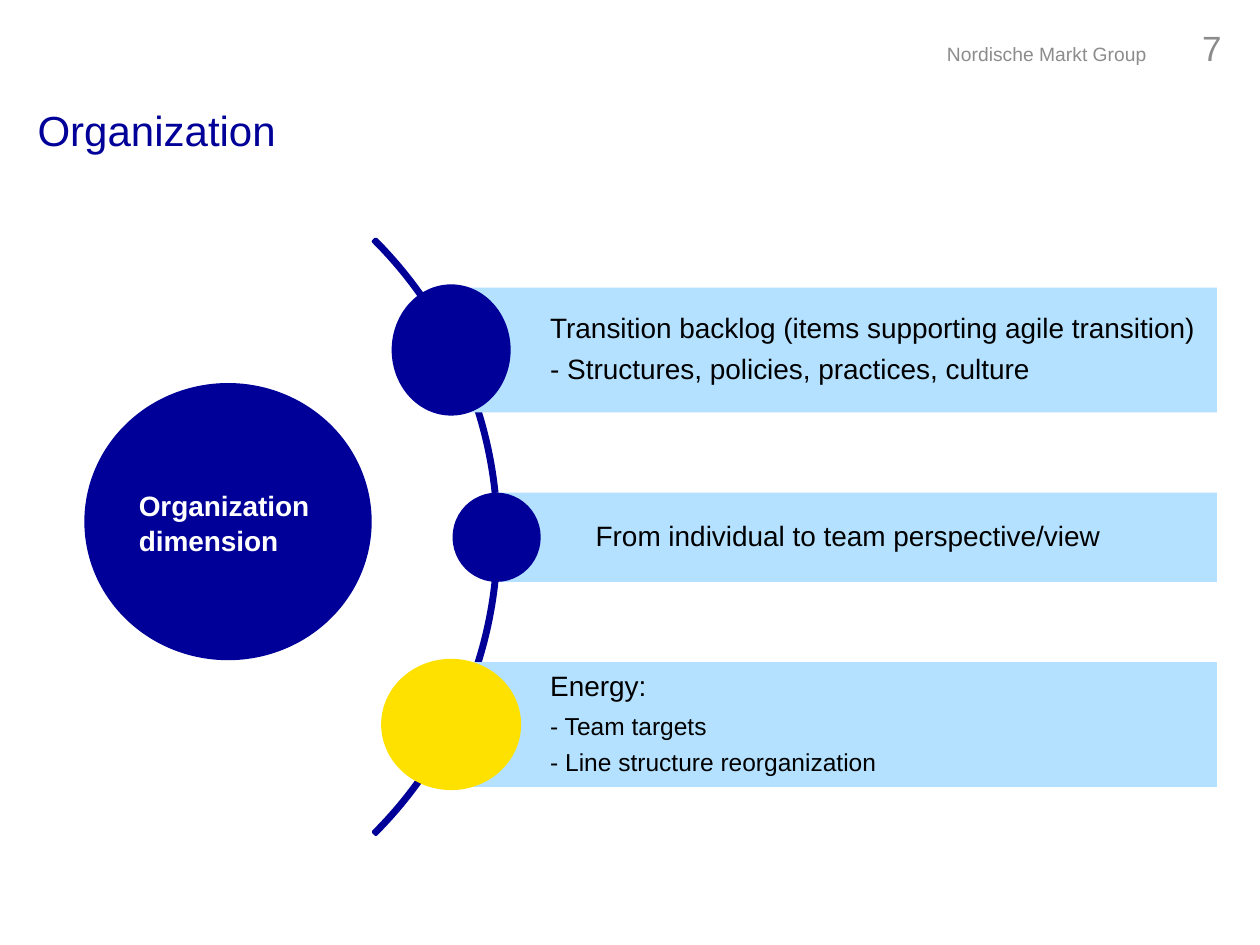
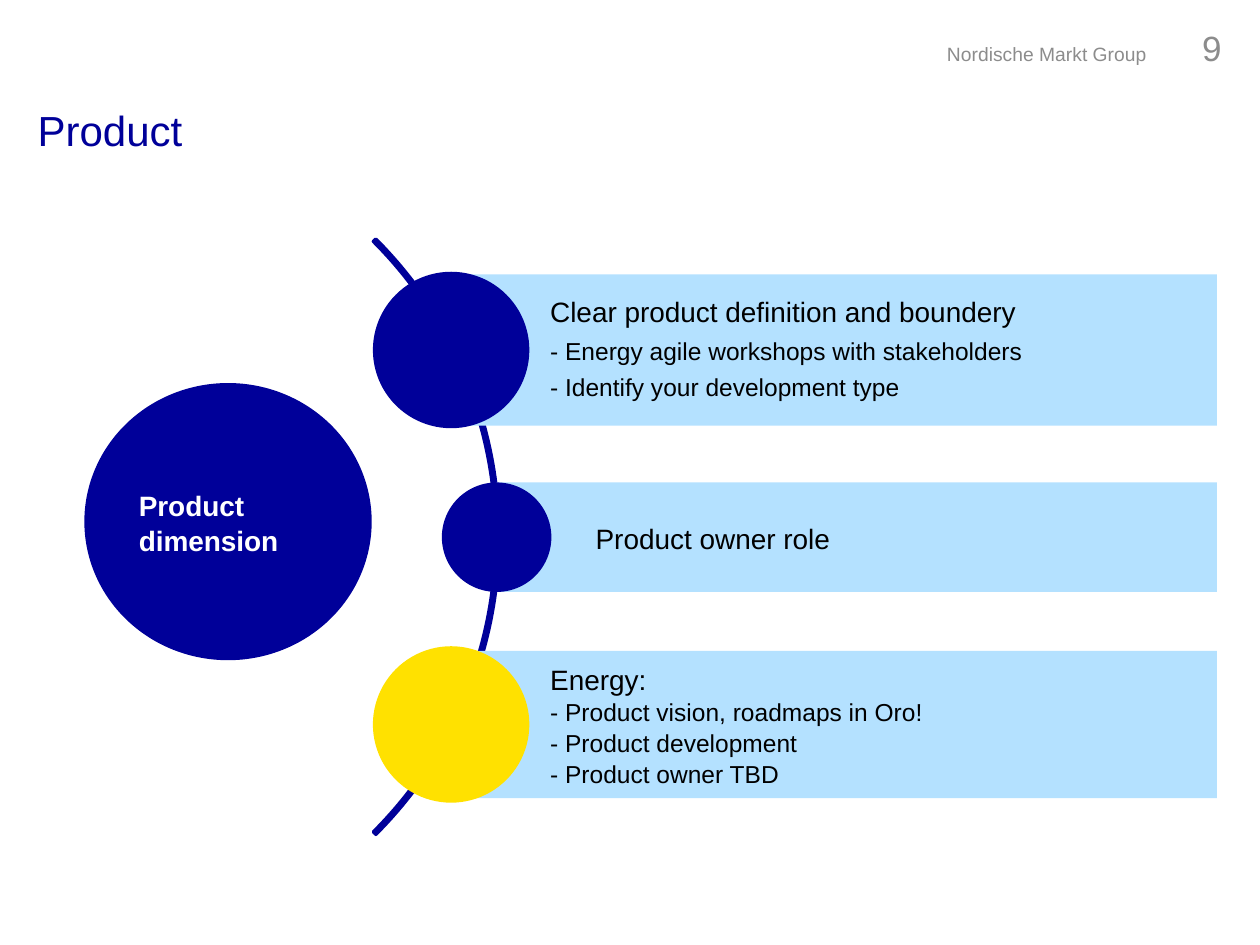
from dataclasses import dataclass

from lxml.etree import SubElement
from pptx import Presentation
from pptx.dml.color import RGBColor
from pptx.enum.shapes import MSO_SHAPE
from pptx.enum.text import MSO_ANCHOR
from pptx.oxml.ns import qn
from pptx.util import Pt


@dataclass(frozen=True)
class Theme:
    font: str = "Arial"
    navy: str = "000099"
    sky: str = "B4E1FF"
    yellow: str = "FFE100"
    gray: str = "8C8C8C"
    black: str = "000000"
    white: str = "FFFFFF"
    title_size: int = 24
    number_size: int = 20
    lead_size: int = 16
    detail_size: int = 14
    footer_size: int = 11
    loose_lines: float = 1.05
    tight_lines: float = 0.9
    space_ratio: float = 0.4


THEME = Theme()
GROUP_NAME = "Nordische Markt Group"
BAND_RIGHT = 695.4
ROW_MIDDLES = (200, 307, 414)
ROW_LEFTS = (257.8, 283.8, 257.8)
ROW_COLORS = (THEME.navy, THEME.navy, THEME.yellow)


@dataclass
class Row:
    height: float
    dot: tuple
    lines: tuple
    detail_size: int = THEME.detail_size
    spaced: bool = True


def add_span(para, text, size, color=THEME.black, bold=False):
    span = para.add_run()
    span.text = text
    span.font.name = THEME.font
    span.font.size = Pt(size)
    span.font.bold = bold
    span.font.color.rgb = RGBColor.from_string(color)


class SlideBuilder:
    def __init__(self, deck, theme):
        self.theme = theme
        self.page = deck.slides.add_slide(deck.slide_layouts[6])

    def frame(self, shape, anchor=MSO_ANCHOR.MIDDLE, insets=(7.2, 3.6, 7.2, 3.6)):
        frame = shape.text_frame
        frame.word_wrap = True
        frame.vertical_anchor = anchor
        (frame.margin_left, frame.margin_top,
         frame.margin_right, frame.margin_bottom) = map(Pt, insets)
        para = frame.paragraphs[0]
        para.alignment = 1
        para.line_spacing = self.theme.loose_lines
        return frame

    def text_box(self, left, top, width, height, anchor):
        box = self.page.shapes.add_textbox(*map(Pt, (left, top, width, height)))
        return self.frame(box, anchor).paragraphs[0]

    def shape(self, kind, left, top, width, height, color):
        shape = self.page.shapes.add_shape(kind, *map(Pt, (left, top, width, height)))
        shape.shadow.inherit = False
        shape.fill.solid()
        shape.fill.fore_color.rgb = RGBColor.from_string(color)
        shape.line.fill.background()
        return shape

    def title(self, text):
        para = self.text_box(14.4, 55, 578, 71, MSO_ANCHOR.TOP)
        add_span(para, text, self.theme.title_size, self.theme.navy)

    def header(self, number):
        para = self.text_box(507.6, 12.2, 198.7, 28.8, MSO_ANCHOR.MIDDLE)
        stops = SubElement(para._p.get_or_add_pPr(), qn("a:tabLst"))
        for position in (140.6, 183.4):
            SubElement(stops, qn("a:tab"), pos=str(Pt(position)), algn="r")
        add_span(para, "\t" + GROUP_NAME, self.theme.footer_size, self.theme.gray)
        add_span(para, f"\t{number}", self.theme.number_size, self.theme.gray)

    def dimension(self, text):
        circle = self.shape(MSO_SHAPE.OVAL, 48.2, 218.9, 164.2, 158.4, self.theme.navy)
        para = self.frame(circle).paragraphs[0]
        add_span(para, text, self.theme.lead_size, self.theme.white, bold=True)

    def arc(self):
        arc = self.shape(MSO_SHAPE.BLOCK_ARC, -195.8, 66.2, 481, 481, self.theme.navy)
        for index, value in enumerate((189, 27, 0.004)):
            arc.adjustments[index] = value
        arc.line.color.rgb = RGBColor.from_string(self.theme.navy)
        arc.line.width = Pt(2)

    def row(self, row, middle, left, color):
        band = self.shape(MSO_SHAPE.RECTANGLE, left, middle - row.height / 2,
                          BAND_RIGHT - left, row.height, self.theme.sky)
        frame = self.frame(band, insets=(56.6, 2.9, 2.9, 2.9))
        for index, line in enumerate(row.lines):
            para = frame.add_paragraph() if index else frame.paragraphs[0]
            size = row.detail_size if index else self.theme.lead_size
            para.alignment = 1
            para.line_spacing = self.theme.loose_lines
            if row.spaced:
                para.line_spacing = self.theme.tight_lines
                para.space_after = Pt(size * self.theme.space_ratio)
            add_span(para, line, size)
        width, height = row.dot
        self.shape(MSO_SHAPE.OVAL, left - width / 2, middle - height / 2,
                   width, height, color)


def add_dimension_page(deck, number, name, rows):
    builder = SlideBuilder(deck, THEME)
    builder.dimension(f"{name} dimension")
    builder.title(name)
    builder.header(number)
    builder.arc()
    for details in zip(rows, ROW_MIDDLES, ROW_LEFTS, ROW_COLORS):
        builder.row(*details)


def main():
    deck = Presentation()
    deck.slide_width, deck.slide_height = Pt(720), Pt(540)
    add_dimension_page(deck, 7, "Organization", (
        Row(71.4, (68, 75),
            ("Transition backlog (items supporting agile transition)",
             "- Structures, policies, practices, culture"),
            detail_size=THEME.lead_size),
        Row(51, (50.4, 51), ("From individual to team perspective/view",)),
        Row(71.4, (80, 75),
            ("Energy:", "- Team targets", "- Line structure reorganization")),
    ))
    add_dimension_page(deck, 9, "Product", (
        Row(86.4, (89.4, 89.4),
            ("Clear product definition and boundery",
             "- Energy agile workshops with stakeholders",
             "- Identify your development type")),
        Row(62.6, (62.6, 62.6), ("Product owner role",), spaced=False),
        Row(84.2, (89.4, 89.4),
            ("Energy:", "- Product vision, roadmaps in Oro!",
             "- Product development", "- Product owner TBD"), spaced=False),
    ))
    deck.save("out.pptx")


if __name__ == "__main__":
    main()
